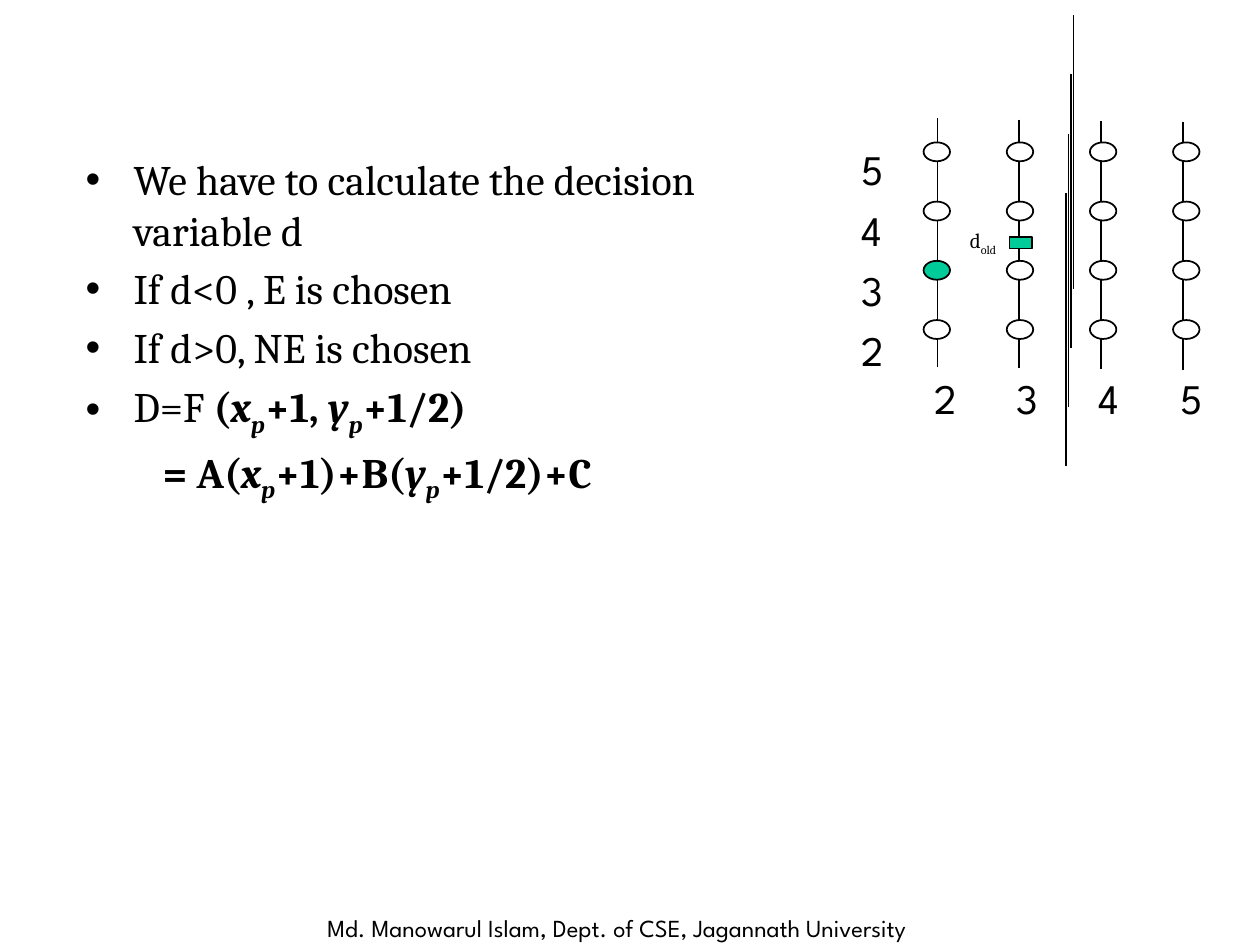
from dataclasses import dataclass

from lxml.etree import SubElement
from pptx import Presentation
from pptx.dml.color import RGBColor
from pptx.enum.shapes import MSO_CONNECTOR, MSO_SHAPE
from pptx.enum.text import MSO_ANCHOR, MSO_AUTO_SIZE
from pptx.oxml.ns import qn
from pptx.util import Inches, Pt

BLACK = RGBColor(0x00, 0x00, 0x00)
WHITE = RGBColor(0xFF, 0xFF, 0xFF)
GREEN = RGBColor(0x00, 0xCC, 0x99)
SERIF = "Cambria"
SANS = "League Spartan"
SUBSCRIPT = "-25000"


@dataclass(frozen=True)
class Grid:
    """Evenly spaced positions, in inches."""
    left: float
    top: float
    column_gap: float = 0.66
    row_gap: float = 0.47

    def at(self, column: int, row: int) -> tuple[float, float]:
        return self.left + column * self.column_gap, self.top + row * self.row_gap


@dataclass(frozen=True)
class Fragment:
    text: str
    bold: bool = False
    italic: bool = False
    subscript: bool = False


@dataclass(frozen=True)
class Item:
    fragments: tuple[Fragment, ...]
    margin: float = 0.38
    bullet: bool = True


def bold(text: str) -> Fragment:
    return Fragment(text, bold=True)


def variable(name: str) -> tuple[Fragment, Fragment]:
    """A bold italic name with the subscript p."""
    return Fragment(name, True, True), Fragment("p", True, True, True)


PIXELS = Grid(7.33, 1.13)
COLUMN_LABELS = Grid(7.32, 2.91, column_gap=0.65)
ROW_LABELS = Grid(6.74, 1.09, row_gap=0.48)
PIXEL_SIZE = (0.21, 0.15)
CHOSEN_PIXEL = (0, 2)
COUNT = 4

ITEMS = (
    Item((Fragment("We have to calculate the decision variable d"),)),
    Item((Fragment("If d<0 , E is chosen"),)),
    Item((Fragment("If d>0, NE is chosen"),)),
    Item((Fragment("D=F"), bold(" ("), *variable("x"), bold("+1, "),
          *variable("y"), bold("+1/2)"))),
    Item((bold("= A("), *variable("x"), bold("+1)+B("),
          *variable("y"), bold("+1/2)+C")), margin=0.61, bullet=False),
)


def add_fragments(paragraph, fragments: tuple[Fragment, ...]) -> None:
    for fragment in fragments:
        run = paragraph.add_run()
        run.text = fragment.text
        if fragment.bold:
            run.font.bold = True
        if fragment.italic:
            run.font.italic = True
        if fragment.subscript:
            run.font._element.set("baseline", SUBSCRIPT)


def set_font(paragraph, name: str, size: float) -> None:
    paragraph.font.name = name
    paragraph.font.size = Pt(size)
    paragraph.font.color.rgb = BLACK


def set_bullet(paragraph, item: Item) -> None:
    properties = paragraph._p.get_or_add_pPr()
    properties.set("marL", str(Inches(item.margin)))
    properties.set("indent", str(-Inches(item.margin) if item.bullet else 0))
    if item.bullet:
        SubElement(properties, qn("a:buChar")).set("char", "•")
    else:
        SubElement(properties, qn("a:buNone"))


def fill_body(body) -> None:
    body.left, body.top = Inches(0.58), Inches(1.17)
    body.width, body.height = Inches(6.14), Inches(2.58)
    frame = body.text_frame
    frame.auto_size = MSO_AUTO_SIZE.NONE
    frame.vertical_anchor = MSO_ANCHOR.TOP
    for index, item in enumerate(ITEMS):
        paragraph = frame.add_paragraph() if index else frame.paragraphs[0]
        set_bullet(paragraph, item)
        paragraph.space_before = Pt(4.8 if index else 0)
        set_font(paragraph, SERIF, 24)
        add_fragments(paragraph, item.fragments)


def add_text(shapes, left: float, top: float, width: float, height: float,
             fragments: tuple[Fragment, ...], font: str, size: float) -> None:
    box = shapes.add_textbox(Inches(left), Inches(top), Inches(width), Inches(height))
    frame = box.text_frame
    frame.word_wrap = True
    frame.auto_size = MSO_AUTO_SIZE.SHAPE_TO_FIT_TEXT
    set_font(frame.paragraphs[0], font, size)
    add_fragments(frame.paragraphs[0], fragments)


def add_label(shapes, position: tuple[float, float], number: int) -> None:
    add_text(shapes, *position, 0.25, 0.22, (Fragment(str(number)),), SANS, 24)


def add_vertical_line(shapes, x: float, top: float, length: float) -> None:
    line = shapes.add_connector(MSO_CONNECTOR.STRAIGHT, Inches(x), Inches(top),
                                Inches(x), Inches(top + length))
    line.line.color.rgb = BLACK
    line.line.width = Pt(1)
    SubElement(line._element.spPr, qn("a:effectLst"))


def add_marker(shapes, kind: MSO_SHAPE, position: tuple[float, float],
               size: tuple[float, float], color: RGBColor, line_width: float) -> None:
    marker = shapes.add_shape(kind, *map(Inches, position + size))
    marker.shadow.inherit = False
    marker.fill.solid()
    marker.fill.fore_color.rgb = color
    marker.line.color.rgb = BLACK
    marker.line.width = Pt(line_width)


def draw_pixel_grid(shapes) -> None:
    for index in range(COUNT):
        add_vertical_line(shapes, 7.44 + index * 0.65, 0.94 + index * 0.01, 1.97)
        add_vertical_line(shapes, 8.52 - index * 0.02, 0.12 + index * 0.47, 2.17)
    for column in range(COUNT):
        for row in range(COUNT):
            color = GREEN if (column, row) == CHOSEN_PIXEL else WHITE
            add_marker(shapes, MSO_SHAPE.OVAL, PIXELS.at(column, row),
                       PIXEL_SIZE, color, 1)
    for index in range(COUNT):
        add_label(shapes, COLUMN_LABELS.at(index, 0), 2 + index)
        add_label(shapes, ROW_LABELS.at(0, index), 5 - index)
    add_marker(shapes, MSO_SHAPE.RECTANGLE, (8.01, 1.88), (0.18, 0.09), GREEN, 0.75)
    add_text(shapes, 7.6, 1.76, 0.46, 0.3,
             (Fragment("d"), Fragment("old", subscript=True)), SERIF, 12)


def main() -> None:
    presentation = Presentation()
    presentation.slide_width, presentation.slide_height = Inches(10), Inches(7.5)
    slide = presentation.slides.add_slide(presentation.slide_layouts[1])
    title = slide.shapes.title._element
    title.getparent().remove(title)
    add_text(slide.shapes, 2.5, 7.2, 5.62, 0.34,
             (Fragment("Md. Manowarul Islam, Dept. of CSE, Jagannath University"),),
             SANS, 14)
    fill_body(slide.placeholders[1])
    draw_pixel_grid(slide.shapes)
    presentation.save("out.pptx")


if __name__ == "__main__":
    main()
